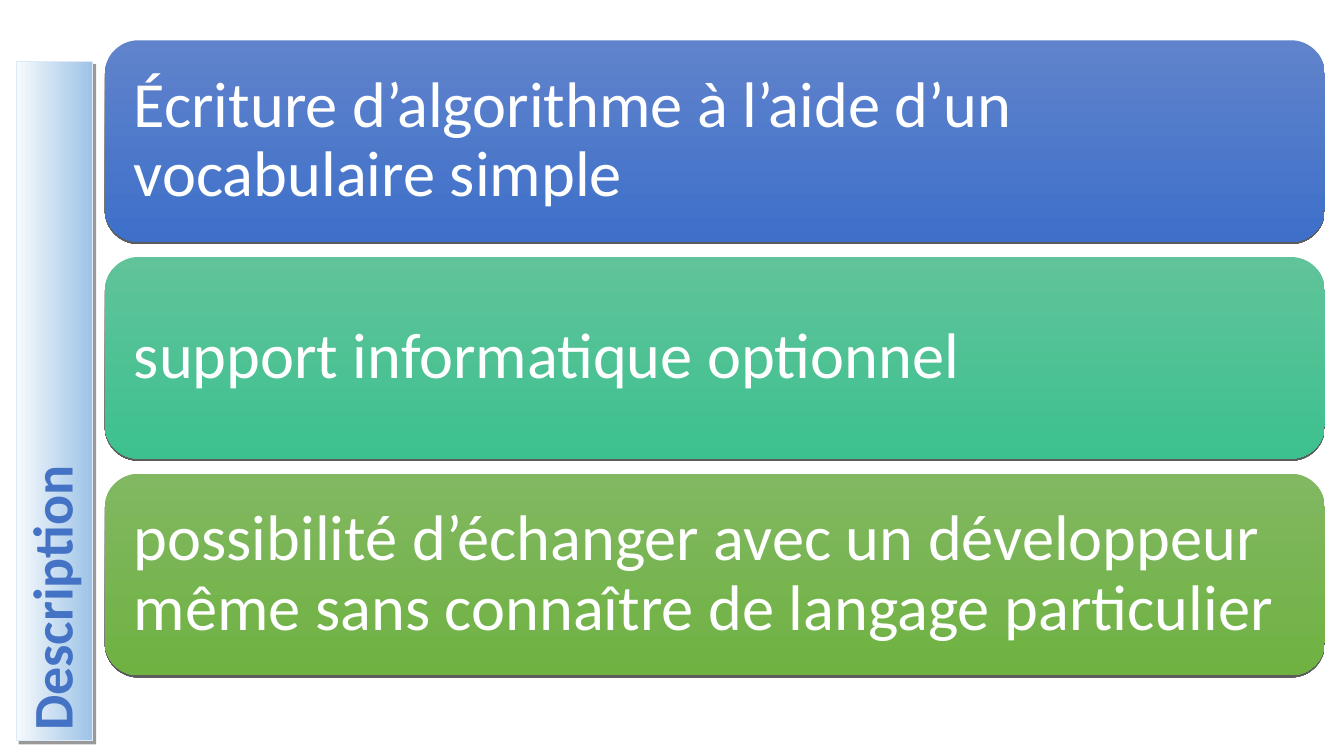
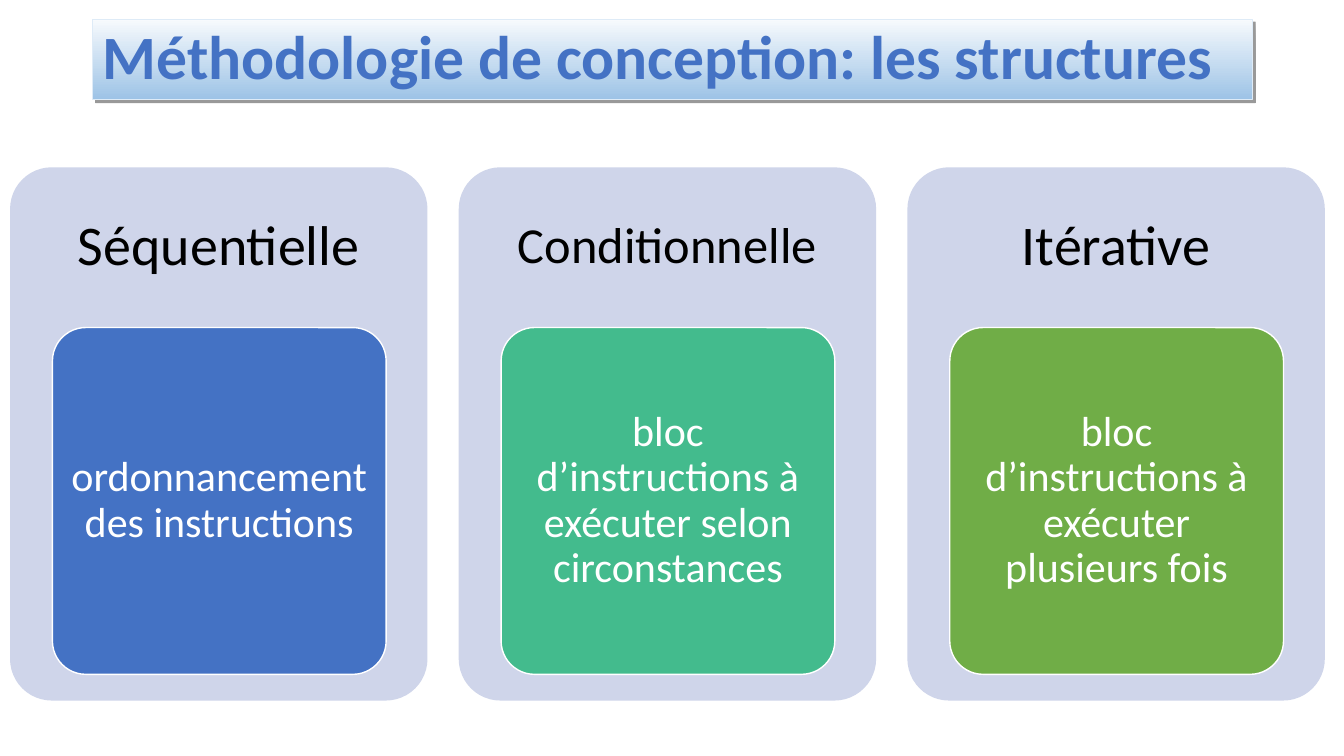
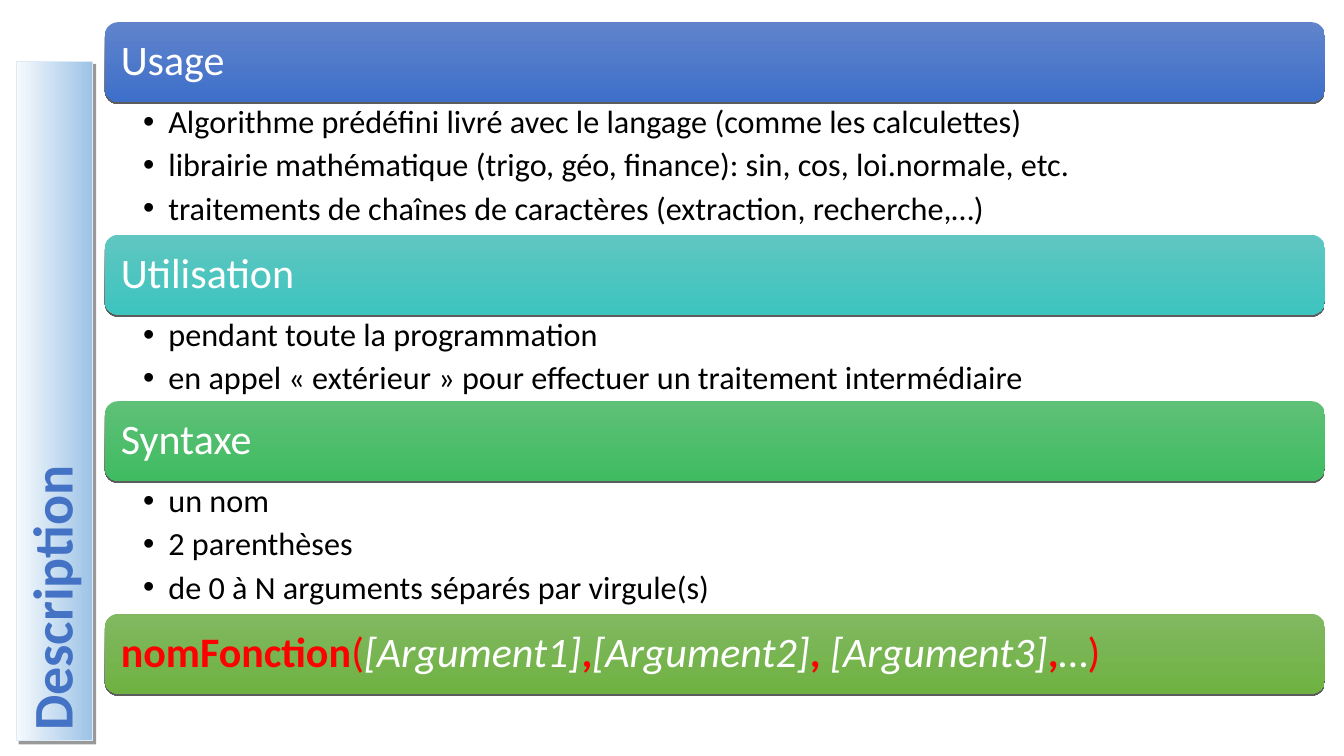
from lxml.etree import SubElement
from pptx import Presentation
from pptx.dml.color import RGBColor
from pptx.enum.shapes import MSO_SHAPE
from pptx.enum.text import MSO_ANCHOR, MSO_AUTO_SIZE, PP_ALIGN
from pptx.oxml.ns import qn
from pptx.util import Inches, Pt

HUES = {
    "white": "FFFFFF", "black": "000000", "red": "FF0000", "title": "4472C4",
    "edge": "DEEBF7", "card": "CFD5EA",
    "blue": "4472C4", "mint": "43BB8D", "green": "70AD47",
}
FADES = {
    "title": ("F7FAFD", "9DC3E6"), "blue": ("6083CB", "3E70CA"),
    "mint": ("60C39A", "3DC18F"), "teal": ("60C6C1", "3DC4BF"),
    "leaf": ("5FC077", "3FBC62"), "green": ("81B861", "6FB242"),
}
PLAIN = {"bold": False, "italic": False}
ARG = {"bold": False, "italic": True}
KEY = {"bold": True, "italic": False}
LEFT, WIDE, BAND = 1.04, 12.1, 0.79


def put(item, looks):
    for name, value in looks.items():
        setattr(item, name, value)


def color(name):
    return RGBColor.from_string(HUES[name])


def place(shape, box):
    put(shape, dict(zip(("left", "top", "width", "height"), map(Inches, box))))


def fade(shape, name):
    shape.fill.gradient()
    shape.fill.gradient_angle = 270
    for stop, tone in zip(shape.fill.gradient_stops, FADES[name]):
        stop.color.rgb = RGBColor.from_string(tone)


def shade(shape, dist, angle, alpha):
    shape.shadow.inherit = False
    effect = shape._element.spPr.find(qn("a:effectLst"))
    outer = SubElement(effect, qn("a:outerShdw"), blurRad="0", dist=str(Pt(dist)),
                       dir=str(angle * 60000), algn="ctr", rotWithShape="0")
    tone = SubElement(outer, qn("a:srgbClr"), val=HUES["black"])
    SubElement(tone, qn("a:alpha"), val=str(alpha * 1000))


def edge(shape, name, width):
    shape.line.color.rgb = color(name)
    shape.line.width = Pt(width)


def write(shape, lines, size, hue, pad, after=0, align=PP_ALIGN.LEFT,
          anchor=MSO_ANCHOR.MIDDLE, style=PLAIN, level=0):
    frame = shape.text_frame
    put(frame, {"word_wrap": True, "auto_size": MSO_AUTO_SIZE.NONE,
                "vertical_anchor": anchor})
    sides = ("margin_left", "margin_top", "margin_right", "margin_bottom")
    put(frame, dict(zip(sides, map(Inches, pad))))
    for spot, line in enumerate(lines):
        para = frame.add_paragraph() if spot else frame.paragraphs[0]
        put(para, {"alignment": align, "line_spacing": 0.9, "level": level,
                   "space_before": Pt(0), "space_after": Pt(after)})
        parts = [(line, hue, style)] if isinstance(line, str) else line
        for text, tone, form in parts:
            run = para.add_run()
            run.text = text
            put(run.font, {"name": "Calibri", "size": Pt(size), **form})
            run.font.color.rgb = color(tone)


def head(slide, text, box, size, turn=0):
    title = slide.shapes.title
    place(title, box)
    title.rotation = turn
    fade(title, "title")
    edge(title, "edge", 0.75)
    shade(title, 3, 45, 40)
    write(title, [text], size, "title", (0.1, 0.05, 0.1, 0.05), style=KEY)


def side(slide):
    head(slide, "Description", (-2.83, 3.6, 6.74, 0.76), 40, 270)


def block(slide, box, round=1 / 6):
    shape = slide.shapes.add_shape(MSO_SHAPE.ROUNDED_RECTANGLE, *map(Inches, box))
    shape.adjustments[0] = round
    shape.shadow.inherit = False
    shape.line.fill.background()
    return shape


def band(slide, line, hue, top, high, size, pad, after):
    shape = block(slide, (LEFT, top, WIDE, high))
    fade(shape, hue)
    shade(shape, 1.5, 90, 63)
    write(shape, [line], size, "white", (pad,) * 4, after)


def card(slide, left, name, size, text, hue):
    outer = block(slide, (left, 1.66, 4.14, 5.29), 0.1)
    inner = block(slide, (left + 0.42, 3.25, 3.31, 3.44), 0.1)
    edge(inner, "white", 1)
    for shape, tone in ((outer, "card"), (inner, hue)):
        shape.fill.solid()
        shape.fill.fore_color.rgb = color(tone)
    write(outer, [name], size, "black", (0.07, 0.07, 0.07, 3.77), 19, PP_ALIGN.CENTER)
    write(inner, [text], 30, "white", (0.07, 0.06, 0.07, 0.06), 13, PP_ALIGN.CENTER)


def points(body, lines, top, high):
    place(body, (LEFT, top, WIDE, high))
    write(body, lines, 23, "black", (0.38, 0.04, 0.23, 0.04), 6,
          anchor=MSO_ANCHOR.TOP, level=1)
    for para in body.text_frame.paragraphs:
        props = para._p.get_or_add_pPr()
        props.set("marL", str(Inches(0.25)))
        props.set("indent", str(Inches(-0.25)))
        SubElement(props, qn("a:buFont"), typeface="Arial")
        SubElement(props, qn("a:buChar"), char="•")


def pseudo(slide):
    side(slide)
    rows = (
        ("Écriture d’algorithme à l’aide d’un vocabulaire simple", "blue"),
        ("support informatique optionnel", "mint"),
        ("possibilité d’échanger avec un développeur même sans connaître "
         "de langage particulier", "green"),
    )
    for spot, (text, hue) in enumerate(rows):
        band(slide, text, hue, 0.4 + 2.15 * spot, 2, 46, 0.19, 19)


def method(slide):
    head(slide, "Méthodologie de conception: les structures",
         (0.92, 0.19, 11.5, 0.8), 44)
    cards = (
        ("Séquentielle", 40, "ordonnancement des instructions", "blue"),
        ("Conditionnelle", 36, "bloc d’instructions à exécuter selon circonstances",
         "mint"),
        ("Itérative", 40, "bloc d’instructions à exécuter plusieurs fois", "green"),
    )
    for spot, item in enumerate(cards):
        card(slide, 0.1 + 4.45 * spot, *item)


def usage(slide):
    side(slide)
    groups = (
        ("Usage", "blue", (
            "Algorithme prédéfini livré avec le langage (comme les calculettes)",
            "librairie mathématique (trigo, géo, finance): sin, cos, loi.normale, etc.",
            "traitements de chaînes de caractères (extraction, recherche,…)")),
        ("Utilisation", "teal", (
            "pendant toute la programmation",
            "en appel « extérieur » pour effectuer un traitement intermédiaire")),
        ("Syntaxe", "leaf", (
            "un nom", "2 parenthèses", "de 0 à N arguments séparés par virgule(s)")),
    )
    comma = (",", "red", KEY)
    call = (
        ("nomFonction", "red", KEY), ("(", "red", PLAIN),
        ("[Argument1]", "white", ARG), comma,
        ("[Argument2]", "white", ARG), comma,
        (" [Argument3]", "white", ARG), comma,
        ("…", "white", PLAIN), (")", "red", PLAIN),
    )
    *bodies, spare = list(slide.placeholders)[1:]
    spare._element.getparent().remove(spare._element)
    top = 0.22
    for body, (name, hue, lines) in zip(bodies, groups):
        high = 0.46 * len(lines) - 0.06
        band(slide, name, hue, top, BAND, 30, 0.12, 13)
        points(body, lines, top + BAND, high)
        top += BAND + high
    band(slide, call, "green", top, BAND, 30, 0.12, 13)


def main():
    deck = Presentation()
    put(deck, {"slide_width": Inches(13.33), "slide_height": Inches(7.5)})
    for layout, build in ((5, pseudo), (5, method), (4, usage)):
        build(deck.slides.add_slide(deck.slide_layouts[layout]))
    deck.save("out.pptx")


if __name__ == "__main__":
    main()
